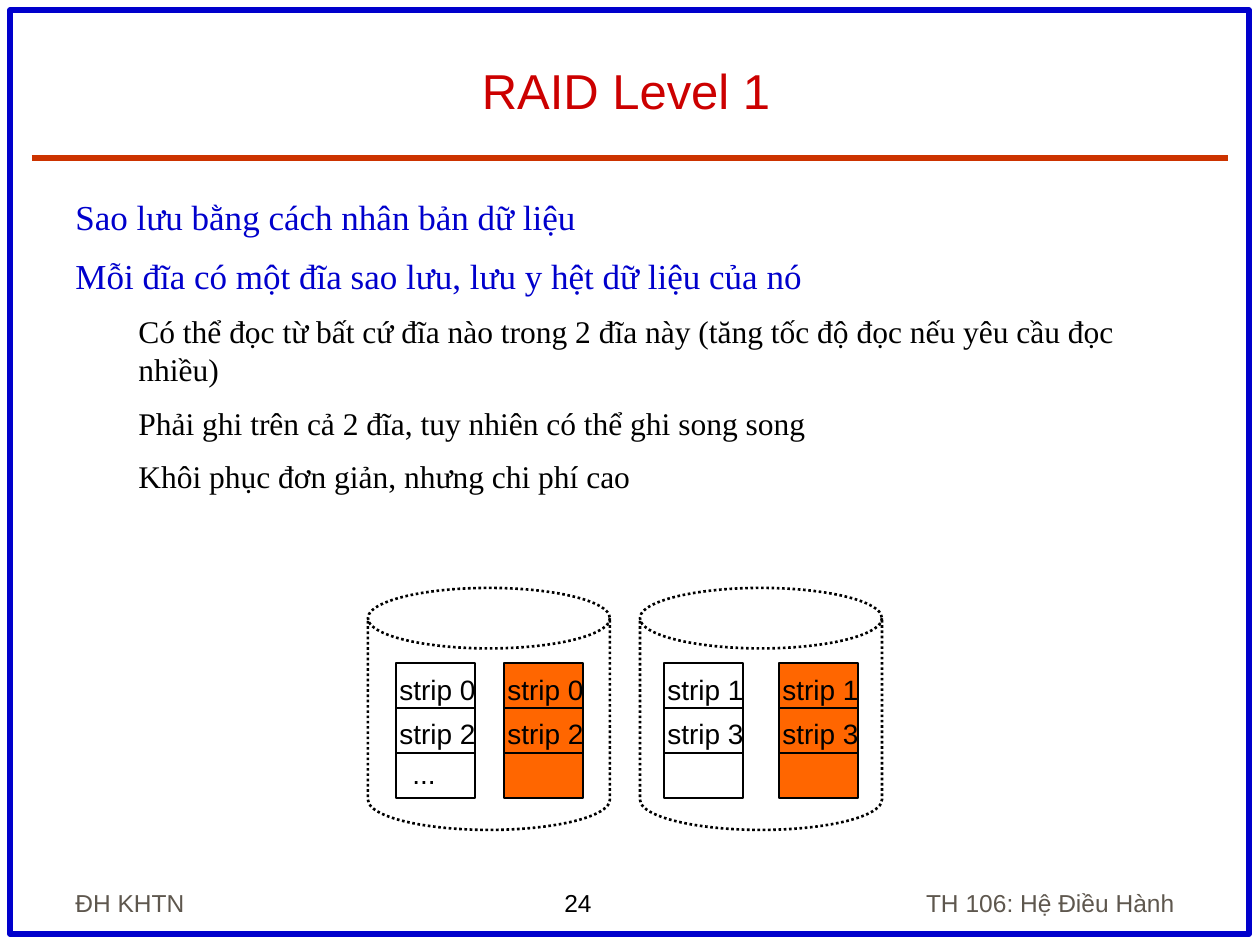
"""Build the RAID Level 1 slide with two disks of mirrored strips."""
from lxml import etree
from pptx import Presentation
from pptx import util as u
from pptx.dml.color import RGBColor
from pptx.enum import dml, shapes, text
from pptx.oxml.ns import qn

HUES = {"blue": "0000CC", "red": "CC0000", "rust": "CC3300", "gray": "5E574E",
        "ink": "000000", "white": "FFFFFF", "fire": "FF6600"}
SANS, SERIF = "Arial", "Times New Roman"
LEFT, MID, RIGHT = text.PP_ALIGN.LEFT, text.PP_ALIGN.CENTER, text.PP_ALIGN.RIGHT

TITLE = "RAID Level 1"
BODY = [
    (0, "Sao lưu bằng cách nhân bản dữ liệu"),
    (0, "Mỗi đĩa có một đĩa sao lưu, lưu y hệt dữ liệu của nó"),
    (1, "Có thể đọc từ bất cứ đĩa nào trong 2 đĩa này "
        "(tăng tốc độ đọc nếu yêu cầu đọc nhiều)"),
    (1, "Phải ghi trên cả 2 đĩa, tuy nhiên có thể ghi song song"),
    (1, "Khôi phục đơn giản, nhưng chi phí cao"),
]
LEVELS = [(20, "blue", 10, 0), (18, "ink", 9, 63)]
FOOT = [
    ("ĐH KHTN", (63, 861, 262, 63), LEFT, "gray"),
    ("24", (552, 881, 137, 43), LEFT, "ink"),
    ("TH 106: Hệ Điều Hành", (840, 861, 347, 63), RIGHT, "gray"),
]
STACKS = [
    (396, "white", ["strip 0", "strip 2", "..."]),
    (504, "fire", ["strip 0", "strip 2"]),
    (664, "white", ["strip 1", "strip 3"]),
    (779, "fire", ["strip 1", "strip 3"]),
]
ROWS = [(666, -9, 104), (710, -9, 104), (750, 4, 70)]
TOP, WIDE, HIGH, ROW = 663, 79, 135, 45
DISKS = [368, 640]


def px(n):
    return u.Emu(round(n * 914400 / 126))


def hue(name):
    return RGBColor.from_string(HUES[name])


def put(par, words, size, font, tint, align=LEFT):
    par.alignment = align
    run = par.add_run()
    run.text = words
    run.font.size, run.font.name = u.Pt(size), font
    run.font.bold = False
    run.font.color.rgb = hue(tint)


def box(slide, spot, wrap=True, low=False):
    frame = slide.shapes.add_textbox(*map(px, spot)).text_frame
    frame.word_wrap = wrap
    if low:
        frame.vertical_anchor = text.MSO_ANCHOR.BOTTOM
    return frame


def form(slide, kind, spot, tint, width, fill=None):
    item = slide.shapes.add_shape(kind, *map(px, spot))
    item.shadow.inherit = False
    if fill:
        item.fill.solid()
        item.fill.fore_color.rgb = hue(fill)
    else:
        item.fill.background()
    item.line.color.rgb, item.line.width = hue(tint), u.Pt(width)
    return item


def rule(slide, x, y, span, tint, width):
    item = slide.shapes.add_connector(
        shapes.MSO_CONNECTOR.STRAIGHT, px(x), px(y), px(x + span), px(y))
    item.line.color.rgb, item.line.width = hue(tint), u.Pt(width)
    etree.SubElement(item._element.spPr, qn("a:effectLst"))


def head(slide):
    form(slide, shapes.MSO_SHAPE.RECTANGLE, (10, 10, 1239, 924), "blue", 3)
    rule(slide, 32, 158, 1196, "rust", 3)
    title = slide.shapes.title
    title.left, title.top, title.width, title.height = map(px, (55, 31, 1142, 95))
    title.text_frame.vertical_anchor = text.MSO_ANCHOR.BOTTOM
    put(title.text_frame.paragraphs[0], TITLE, 28, SANS, "red", MID)


def body(slide):
    frame = box(slide, (63, 189, 1126, 312))
    for i, (level, words) in enumerate(BODY):
        par = frame.add_paragraph() if i else frame.paragraphs[0]
        size, tint, gap, dent = LEVELS[level]
        par.level, par.space_before = level, u.Pt(gap)
        props = par._p.get_or_add_pPr()
        props.set("marL", str(px(dent)))
        props.set("indent", "0")
        put(par, words, size, SERIF, tint)


def disks(slide):
    for x, fill, names in STACKS:
        form(slide, shapes.MSO_SHAPE.RECTANGLE, (x, TOP, WIDE, HIGH), "ink", 1, fill)
        for n in (1, 2):
            rule(slide, x, TOP + n * ROW, WIDE, "ink", 1)
        for name, (y, shift, span) in zip(names, ROWS):
            frame = box(slide, (x + shift, y, span, 45), wrap=False)
            put(frame.paragraphs[0], name, 16, SANS, "ink")
    for x in DISKS:
        can = form(slide, shapes.MSO_SHAPE.CAN, (x, 588, 242, 242), "ink", 1.5)
        can.adjustments[0] = 0.25
        can.line.dash_style = dml.MSO_LINE.ROUND_DOT


def main():
    deck = Presentation()
    deck.slide_width, deck.slide_height = px(1260), px(945)
    slide = deck.slides.add_slide(deck.slide_layouts[5])
    head(slide)
    body(slide)
    disks(slide)
    for words, spot, align, tint in FOOT:
        frame = box(slide, spot, low=True)
        put(frame.paragraphs[0], words, 14, SANS, tint, align)
    deck.save("out.pptx")


if __name__ == "__main__":
    main()
